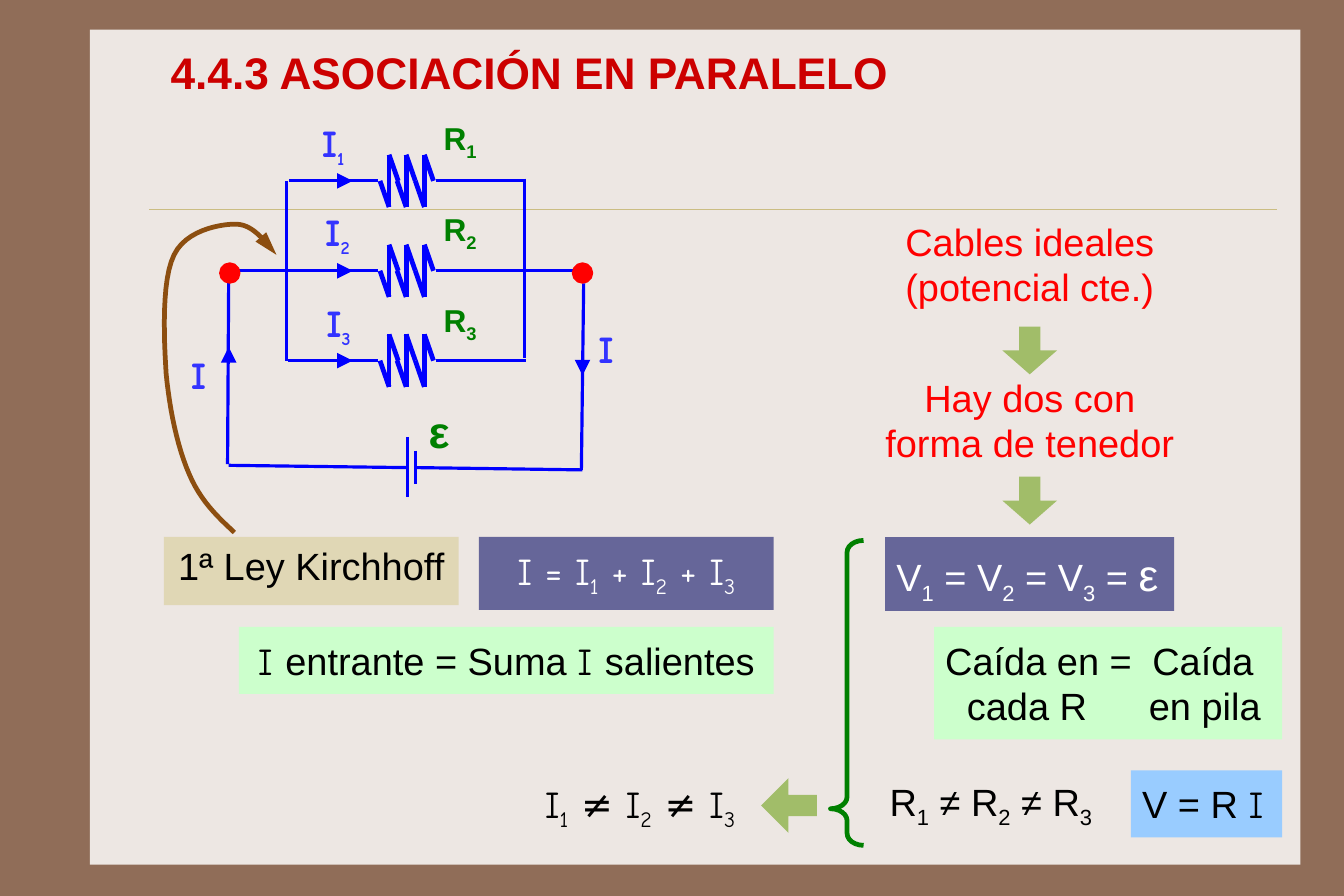
from lxml.etree import SubElement
from pptx import Presentation
from pptx.dml.color import RGBColor
from pptx.enum.shapes import MSO_CONNECTOR, MSO_SHAPE
from pptx.enum.text import MSO_ANCHOR, PP_ALIGN
from pptx.oxml.ns import qn
from pptx.util import Inches, Pt

COLORS = {
    "frame": "906D58", "page": "EDE7E3", "rule": "CBBD83", "title": "CC0000",
    "wire": "0000FF", "current": "3333FF", "green": "008000", "red": "FF0000",
    "law": "E0D7B5", "formula": "666699", "meaning": "CCFFCC", "ohm": "99CCFF",
    "arrow": "A1BD69", "brown": "8C4E10", "black": "000000", "white": "FFFFFF",
}
BODY = {"name": "Arial", "size": Pt(24), "bold": False}
COMIC = BODY | {"name": "Comic Neue"}
CURRENT = COMIC | {"bold": True}
CURRENT_INDEX = CURRENT | {"size": Pt(20)}
RESISTANCE = BODY | {"size": Pt(20), "bold": True}
HEADING = BODY | {"size": Pt(28), "bold": True}
BIG = BODY | {"size": Pt(28)}


def rgb(color):
    """Return the named colour."""
    return RGBColor.from_string(COLORS[color])


def style_line(line, color, width, head=None):
    """Colour a line and optionally put an arrowhead of a given width at its end."""
    line.color.rgb = rgb(color)
    line.width = Pt(width)
    if head:
        SubElement(line._get_or_add_ln(), qn("a:tailEnd"), type="triangle", w=head, len="lg")


def add_line(page, start, end, color="wire", width=2, head=None):
    """Draw a straight line between two points."""
    points = [Inches(value) for value in (*start, *end)]
    connector = page.shapes.add_connector(MSO_CONNECTOR.STRAIGHT, *points)
    style_line(connector.line, color, width, head)
    SubElement(connector._element.spPr, qn("a:effectLst"))


def add_figure(page, kind, place, fill=None, line=None, width=2, adjustments=(), rotation=0):
    """Add a preset shape with its own fill and outline."""
    shape = page.shapes.add_shape(kind, *map(Inches, place))
    shape.shadow.inherit = False
    shape.rotation = rotation
    for index, value in enumerate(adjustments):
        shape.adjustments[index] = value
    if fill:
        shape.fill.solid()
        shape.fill.fore_color.rgb = rgb(fill)
    else:
        shape.fill.background()
    if line:
        style_line(shape.line, line, width)
    else:
        shape.line.fill.background()
    return shape


def add_spans(para, spans, color):
    """Write spans, setting the parts between bars as subscripts."""
    for text, look in spans:
        for index, part in enumerate(text.split("|")):
            if not part:
                continue
            span = para.add_run()
            span.text = part
            for name, value in look.items():
                setattr(span.font, name, value)
            span.font.color.rgb = rgb(color)
            if index % 2:
                span._r.get_or_add_rPr().set("baseline", "-25000")


def add_text(page, place, paras, color="black", fill=None, align=PP_ALIGN.LEFT,
             wrap=True, anchor=MSO_ANCHOR.TOP, margins=(0.1, 0.09), spacing=None, tabs=()):
    """Add a text box or a filled rectangle with text."""
    if fill:
        box = add_figure(page, MSO_SHAPE.RECTANGLE, place, fill)
    else:
        box = page.shapes.add_textbox(*map(Inches, place))
    frame = box.text_frame
    across, down = map(Inches, margins)
    layout = {"word_wrap": wrap, "vertical_anchor": anchor, "margin_left": across,
              "margin_right": across, "margin_top": down, "margin_bottom": down}
    for name, value in layout.items():
        setattr(frame, name, value)
    for index, spans in enumerate(paras):
        para = frame.add_paragraph() if index else frame.paragraphs[0]
        para.alignment = align
        para.line_spacing = spacing
        if tabs:
            stops = SubElement(para._p.get_or_add_pPr(), qn("a:tabLst"))
            for stop in tabs[index]:
                SubElement(stops, qn("a:tab"), pos=str(Inches(stop)), algn="l")
        add_spans(para, spans, color)


def add_resistor(page, middle):
    """Draw the three teeth of a resistor."""
    half, step = 0.23, 0.08
    for x in (3.42, 3.57, 3.73):
        top, bottom = (x, middle - half), (x, middle + half)
        add_line(page, top, bottom, width=3)
        add_line(page, top, (x + step, middle), width=3)
        add_line(page, (x - step, middle), bottom, width=3)


def add_curve(page, start, curves, color, width, steps=12):
    """Draw an open arrow through a chain of cubic curves."""
    points, origin = [], start
    for first, second, end in curves:
        corners = (origin, first, second, end)
        for step in range(1, steps + 1):
            t = step / steps
            weights = ((1 - t) ** 3, 3 * t * (1 - t) ** 2, 3 * t * t * (1 - t), t ** 3)
            points.append([Inches(sum(weight * corner[axis] for weight, corner in zip(weights, corners)))
                           for axis in (0, 1)])
        origin = end
    builder = page.shapes.build_freeform(*map(Inches, start))
    builder.add_line_segments(points, close=False)
    curve = builder.convert_to_shape()
    curve.shadow.inherit = False
    curve.fill.background()
    style_line(curve.line, color, width, "med")


def add_circuit(page):
    """Draw the battery, the wires and the three branches."""
    wires = [
        ((3.65, 3.96), (3.65, 4.25)), ((3.58, 3.84), (3.58, 4.37)),
        ((5.12, 4.13), (3.66, 4.11)), ((3.57, 4.11), (2.01, 4.09)),
        ((2.01, 2.45), (2, 4.08)), ((5.13, 2.49), (5.11, 4.13)),
        ((2.52, 1.59), (2.52, 3.17)), ((4.61, 1.57), (4.61, 3.15)),
    ]
    for start, end in wires:
        add_line(page, start, end)
    add_text(page, (3.67, 3.59, 0.37, 0.4), [[("ε", HEADING)]], "green",
             anchor=MSO_ANCHOR.MIDDLE, margins=(0.1, 0.05))

    branches = [(1.59, 2.54, 4.62, 2.73, 0.96), (2.38, 2.01, 5.1, 2.76, 1.74),
                (3.17, 2.53, 4.62, 2.77, 2.54)]
    for index, (y, left, right, label_left, label_top) in enumerate(branches):
        number = index + 1
        add_line(page, (3.32, y), (left, y))
        add_line(page, (right, y), (3.83, y))
        add_resistor(page, y)
        add_line(page, (2.73, y), (3.1, y), width=1, head="lg")
        add_text(page, (3.8, 1 + 0.8 * index, 0.55, 0.57), [[(f"R|{number}|", RESISTANCE)]],
                 "green", margins=(0.1, 0.05))
        add_text(page, (label_left, label_top, 0.5, 0.59),
                 [[("I", CURRENT), (f"|{number}|", CURRENT_INDEX)]], "current", wrap=False)

    for left in (1.94, 5.04):
        add_figure(page, MSO_SHAPE.OVAL, (left, 2.32, 0.16, 0.16), "red", "red")
    add_line(page, (5.12, 2.93), (5.12, 3.3), width=1, head="lg")
    add_line(page, (2.01, 3.42), (2.01, 3.05), width=1, head="lg")
    for left, top in ((1.58, 3), (5.16, 2.77)):
        add_text(page, (left, top, 0.38, 0.59), [[("I", CURRENT)]], "current", wrap=False)


def add_conclusions(page):
    """Add the laws, formulas and the arrows between them."""
    center = PP_ALIGN.CENTER
    add_text(page, (7.59, 1.83, 2.92, 0.99),
             [[("Cables ideales", BODY)], [("(potencial cte.)", BODY)]], "red", align=center)
    add_text(page, (7.59, 3.2, 2.92, 0.99), [[("Hay dos con forma de tenedor", BODY)]],
             "red", align=center)
    add_text(page, (1.44, 4.72, 2.59, 0.6), [[("1ª Ley Kirchhoff", BODY)]],
             fill="law", align=center, spacing=0.9)
    add_text(page, (4.21, 4.72, 2.59, 0.64), [[("I = I|1| + I|2| + I|3|", COMIC)]], "white",
             "formula", center, anchor=MSO_ANCHOR.MIDDLE, margins=(0.12, 0.12))
    add_text(page, (7.78, 4.72, 2.54, 0.65), [[("V|1| = V|2| = V|3| = ", BODY), ("ε", BIG)]],
             "white", "formula", wrap=False)
    add_text(page, (2.1, 5.51, 4.7, 0.59),
             [[("I ", COMIC), ("entrante = Suma ", BODY), ("I ", COMIC), ("salientes", BODY)]],
             fill="meaning", align=center)
    add_text(page, (8.21, 5.51, 3.06, 0.99),
             [[("Caída en =\tCaída", BODY)], [("\tcada R\ten pila", BODY)]],
             fill="meaning", tabs=((1.82,), (0.19, 1.79)))
    add_text(page, (4.69, 6.77, 1.89, 0.59), [[("I|1| ≠ I|2| ≠ I|3|", COMIC)]], wrap=False)
    add_text(page, (7.72, 6.75, 2.02, 0.58), [[("R|1| ≠ R|2| ≠ R|3|", BODY)]], wrap=False)
    add_text(page, (9.94, 6.77, 1.33, 0.59), [[("V = R ", BODY), ("I", COMIC)]],
             fill="ohm", wrap=False)
    arrows = [((8.84, 2.84, 0.42, 0.48), 90), ((8.84, 4.16, 0.42, 0.48), 90),
              ((6.69, 6.84, 0.49, 0.48), 180)]
    for place, rotation in arrows:
        add_figure(page, MSO_SHAPE.RIGHT_ARROW, place, "arrow",
                   adjustments=(0.39, 0.5), rotation=rotation)
    add_figure(page, MSO_SHAPE.LEFT_BRACE, (7.3, 4.75, 0.29, 2.68), line="green", width=3,
               adjustments=(0.36, 0.88))


def main():
    """Build the slide and save the deck."""
    deck = Presentation()
    deck.slide_width, deck.slide_height = Inches(189) // 16, Inches(63) // 8
    page = deck.slides.add_slide(deck.slide_layouts[6])
    page.background.fill.solid()
    page.background.fill.fore_color.rgb = rgb("frame")
    add_figure(page, MSO_SHAPE.RECTANGLE, (0.79, 0.26, 10.64, 7.34), "page")
    add_line(page, (1.31, 1.84), (11.22, 1.84), "rule", 0.25)
    add_text(page, (1.39, 0.34, 9.32, 0.58), [[("4.4.3 ASOCIACIÓN EN PARALELO", HEADING)]],
             "title", anchor=MSO_ANCHOR.MIDDLE, margins=(0.11, 0.05))
    add_circuit(page)
    add_conclusions(page)
    add_curve(page, (2.06, 4.68), [
        ((1.91, 4.54), (1.76, 4.4), (1.66, 4.16)), ((1.56, 3.93), (1.49, 3.6), (1.46, 3.28)),
        ((1.44, 2.96), (1.42, 2.46), (1.53, 2.24)), ((1.63, 2.03), (1.92, 1.97), (2.07, 1.97)),
        ((2.22, 1.97), (2.32, 2.11), (2.43, 2.24))], "brown", 3)
    deck.save("out.pptx")


if __name__ == "__main__":
    main()
